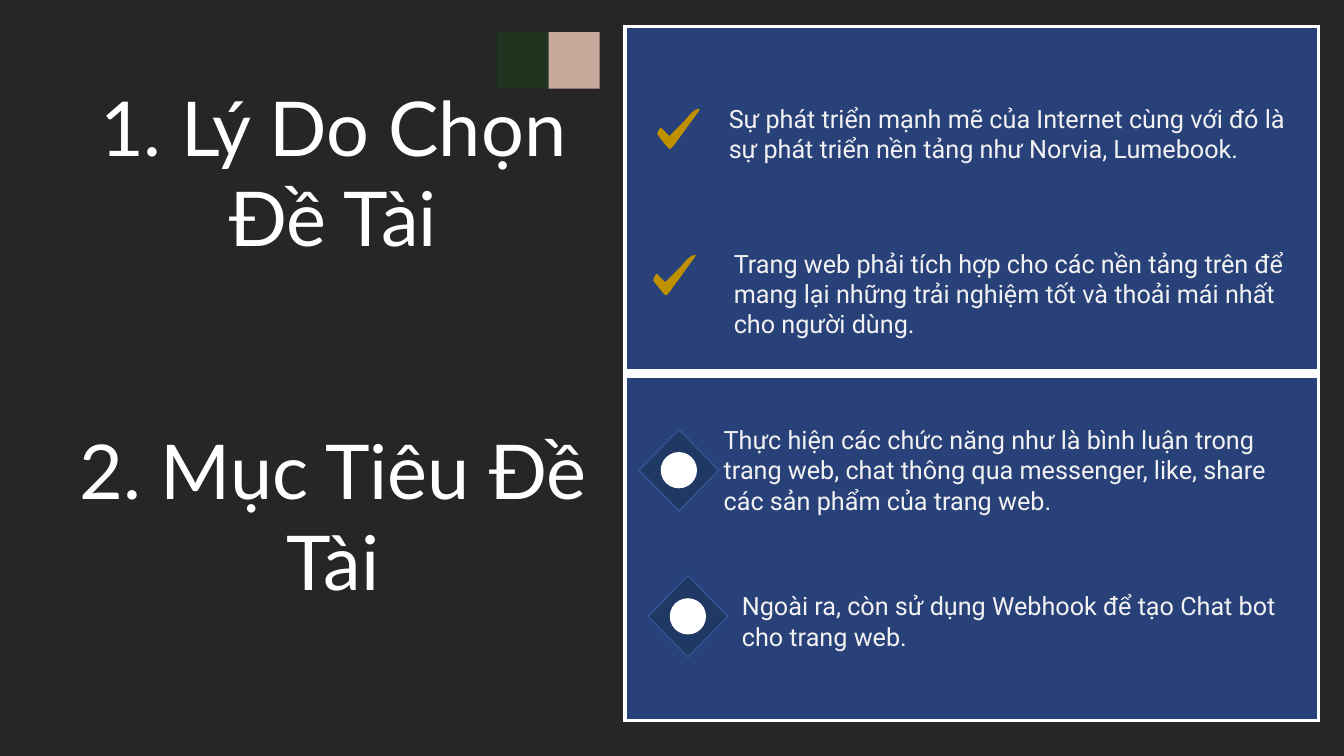
import pptx
import pptx.util
import pptx.dml.color
import pptx.enum.shapes
import pptx.enum.text
import pptx.oxml.ns
from lxml import etree

Inches, Pt = pptx.util.Inches, pptx.util.Pt
SHAPE = pptx.enum.shapes.MSO_SHAPE
ALIGN = pptx.enum.text.PP_ALIGN

COLORS = {
    "background": "262626", "panel": "294179", "white": "FFFFFF",
    "rose": "C8A89B", "green": "1F331F", "body": "F2F2F2",
    "tick": "BF9000", "diamond": "203864", "diamond_edge": "325491",
}

HEADINGS = [
    ("1. Lý Do Chọn Đề Tài", (0.66, 0.75, 5.29, 1.92)),
    ("2. Mục Tiêu Đề Tài", (0.66, 4.16, 5.29, 1.92)),
]
# Placeholder index, text, box
POINTS = [
    (1, "Sự phát triển mạnh mẽ của Internet cùng với đó là sự phát triển "
        "nền tảng như Norvia, Lumebook.", (7.13, 0.97, 5.97, 0.71)),
    (2, "Trang web phải tích hợp cho các nền tảng trên để mang lại những "
        "trải nghiệm tốt và thoải mái nhất cho người dùng.",
     (7.18, 2.41, 5.96, 1.01)),
    (3, "Thực hiện các chức năng như là bình luận trong trang web, chat "
        "thông qua messenger, like, share các sản phẩm của trang web.",
     (7.08, 4.16, 6.01, 1.31)),
    (4, "Ngoài ra, còn sử dụng Webhook để tạo Chat bot cho trang web.",
     (7.26, 5.81, 5.92, 0.71)),
]
PANEL = (6.2, 0.26, 6.88, 6.89)
SWATCHES = [("rose", 5.44), ("green", 4.93)]
TICKS = [(6.51, 1.06), (6.47, 2.51)]
TICK_OUTLINE = [
    (0.39, 0.03), (0.35, 0.06), (0.28, 0.14), (0.13, 0.29), (0.07, 0.23),
    (0.05, 0.21), (0.04, 0.21), (0.02, 0.24), (0.01, 0.27), (0.03, 0.3),
    (0.12, 0.41), (0.14, 0.42), (0.17, 0.39), (0.41, 0.06), (0.43, 0.03),
    (0.43, 0.02), (0.42, 0.02),
]
DIAMONDS = [(6.34, 4.26), (6.43, 5.71)]
DIAMOND_SIZE = (0.79, 0.81)
MARK_SIZE = 0.36


def rgb(name):
    return pptx.dml.color.RGBColor.from_string(COLORS[name])


def inches(box):
    return [Inches(length) for length in box]


def paint(shape, fill, edge=None, width=1):
    shape.shadow.inherit = False
    shape.fill.solid()
    shape.fill.fore_color.rgb = rgb(fill)
    if edge:
        shape.line.color.rgb = rgb(edge)
        shape.line.width = Pt(width)
        outline = shape.element.spPr.find(pptx.oxml.ns.qn("a:ln"))
        etree.SubElement(outline, pptx.oxml.ns.qn("a:miter"), lim="800000")
    else:
        shape.line.fill.background()
    return shape


def write(holder, text, box, *, font, size, color, align=ALIGN.LEFT):
    """Place a text box or placeholder and set its single, unbulleted paragraph."""
    holder.left, holder.top, holder.width, holder.height = inches(box)
    frame = holder.text_frame
    frame.word_wrap = True
    frame.auto_size = pptx.enum.text.MSO_AUTO_SIZE.NONE
    frame.vertical_anchor = pptx.enum.text.MSO_ANCHOR.TOP
    paragraph = frame.paragraphs[0]
    paragraph.alignment = align
    paragraph.space_before = Pt(0)
    properties = paragraph._p.get_or_add_pPr()
    properties.set("marL", "0")
    properties.set("indent", "0")
    etree.SubElement(properties, pptx.oxml.ns.qn("a:buNone"))
    run = paragraph.add_run()
    run.text = text
    run.font.name = font
    run.font.size = Pt(size)
    run.font.bold = False
    run.font.color.rgb = rgb(color)


def main():
    deck = pptx.Presentation()
    deck.slide_width, deck.slide_height = Inches(40 / 3), Inches(7.5)
    slide = deck.slides.add_slide(deck.slide_layouts.get_by_name("Comparison"))
    slide.background.fill.solid()
    slide.background.fill.fore_color.rgb = rgb("background")
    shapes = slide.shapes
    title = shapes.title

    # The panel goes behind the placeholders
    panel = paint(shapes.add_shape(SHAPE.RECTANGLE, *inches(PANEL)),
                  "panel", "white", 2.25)
    title.element.addprevious(panel.element)

    second_heading = shapes.add_textbox(*inches(HEADINGS[1][1]))
    for holder, (text, box) in zip((title, second_heading), HEADINGS):
        write(holder, text, box, font="Lato", size=54, color="white",
              align=ALIGN.CENTER)

    bodies = {p.placeholder_format.idx: p for p in slide.placeholders}
    for index, text, box in POINTS:
        write(bodies[index], text, box, font="Roboto", size=18, color="body")

    for color, left in SWATCHES:
        paint(shapes.add_shape(SHAPE.RECTANGLE, *inches((left, 0.32, 0.51, 0.56))),
              color)

    for left, top in TICKS:
        outline = [inches((left + x, top + y)) for x, y in TICK_OUTLINE]
        builder = shapes.build_freeform(*outline[0])
        builder.add_line_segments(outline[1:], close=True)
        paint(builder.convert_to_shape(), "tick")

    width, height = DIAMOND_SIZE
    for left, top in DIAMONDS:
        paint(shapes.add_shape(SHAPE.DIAMOND, *inches((left, top, width, height))),
              "diamond", "diamond_edge")
        mark_box = (left + (width - MARK_SIZE) / 2, top + (height - MARK_SIZE) / 2,
                    MARK_SIZE, MARK_SIZE)
        paint(shapes.add_shape(SHAPE.OVAL, *inches(mark_box)), "white")

    divider = shapes.add_connector(
        pptx.enum.shapes.MSO_CONNECTOR.STRAIGHT, 0, 0, 0, 0)
    divider.begin_connect(panel, 1)
    divider.end_connect(panel, 3)
    divider.line.color.rgb = rgb("white")
    divider.line.width = Pt(6)
    etree.SubElement(divider.element.spPr, pptx.oxml.ns.qn("a:effectLst"))

    deck.save("out.pptx")


if __name__ == "__main__":
    main()
